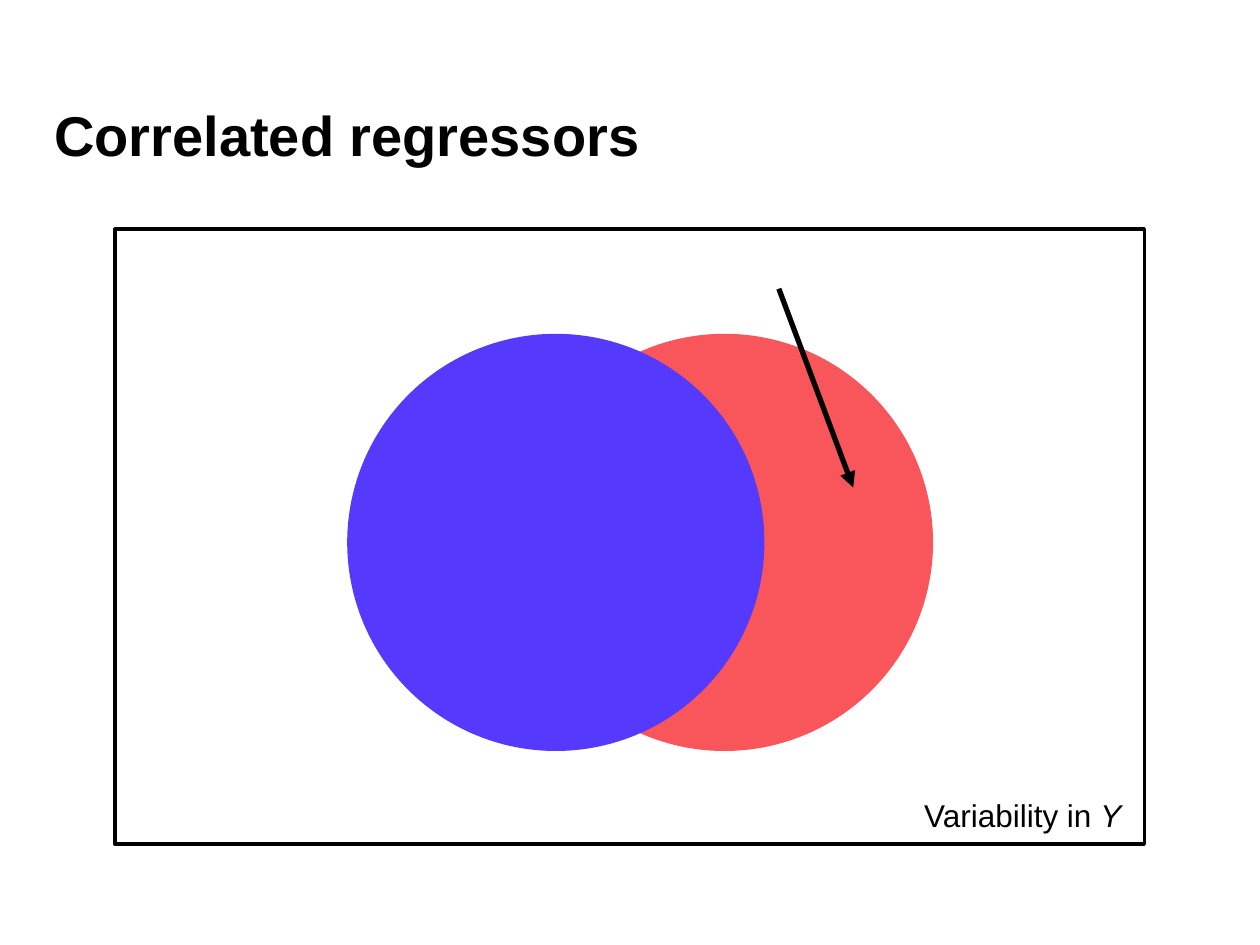
from lxml import etree
from pptx import Presentation
from pptx.dml.color import RGBColor
from pptx.enum import shapes, text
from pptx.oxml import ns
from pptx.util import Cm, Pt

BLACK = RGBColor(0, 0, 0)
RED = RGBColor(0xF8, 0x56, 0x5A)
BLUE = RGBColor(0x55, 0x39, 0xFD)
FONT = "Arial"


def write(frame, *parts, size=18, bold=False, wrap=True,
          anchor=text.MSO_ANCHOR.TOP):
    """Fill a frame with one paragraph of (words, italic) parts."""
    frame.word_wrap = wrap
    frame.vertical_anchor = anchor
    para = frame.paragraphs[0]
    para.alignment = text.PP_ALIGN.LEFT
    for words, slant in parts:
        run = para.add_run()
        run.text = words
        font = run.font
        font.name, font.size = FONT, Pt(size)
        font.bold, font.italic = bold, slant
        font.color.rgb = BLACK


def add_form(slide, kind, left, top, wide, high, fill=None, line=None):
    form = slide.shapes.add_shape(kind, Cm(left), Cm(top), Cm(wide), Cm(high))
    form.shadow.inherit = False
    if fill is None:
        form.fill.background()
    else:
        form.fill.solid()
        form.fill.fore_color.rgb = fill
    if line is None:
        form.line.fill.background()
    else:
        form.line.color.rgb = BLACK
        form.line.width = Pt(line)


def add_arrow(slide, start, end, width):
    arrow = slide.shapes.add_connector(
        shapes.MSO_CONNECTOR.STRAIGHT, *map(Cm, start + end))
    arrow.line.color.rgb = BLACK
    arrow.line.width = Pt(width)
    etree.SubElement(arrow.line._get_or_add_ln(), ns.qn("a:tailEnd"),
                     type="triangle")
    etree.SubElement(arrow._element.spPr, ns.qn("a:effectLst"))


def main():
    deck = Presentation()
    deck.slide_width, deck.slide_height = Cm(25.4), Cm(19.05)
    slide = deck.slides.add_slide(deck.slide_layouts[5])

    # Title
    title = slide.shapes.title
    title.left, title.top = Cm(0.84), Cm(1.6)
    title.width, title.height = Cm(22.86), Cm(2.2)
    write(title.text_frame, ("Correlated regressors", False), size=32,
          bold=True, anchor=text.MSO_ANCHOR.MIDDLE)

    # Frame for the whole variability, with its label
    add_form(slide, shapes.MSO_SHAPE.RECTANGLE, 2.32, 4.62, 20.75, 12.4,
             line=2)
    label = slide.shapes.add_textbox(Cm(18.38), Cm(15.93), Cm(4.52), Cm(1.02))
    write(label.text_frame, ("Variability in ", False), ("Y", True),
          wrap=False)
    label.text_frame.auto_size = text.MSO_AUTO_SIZE.SHAPE_TO_FIT_TEXT

    # Overlapping regressors, the blue one in front
    size = 8.41
    for left, color in ((10.4, RED), (7, BLUE)):
        add_form(slide, shapes.MSO_SHAPE.OVAL, left, 6.73, size, size,
                 fill=color)

    # Arrow to the part that only the red regressor explains
    add_arrow(slide, (15.7, 5.82), (17.2, 9.83), 3)

    deck.save("out.pptx")


if __name__ == "__main__":
    main()
